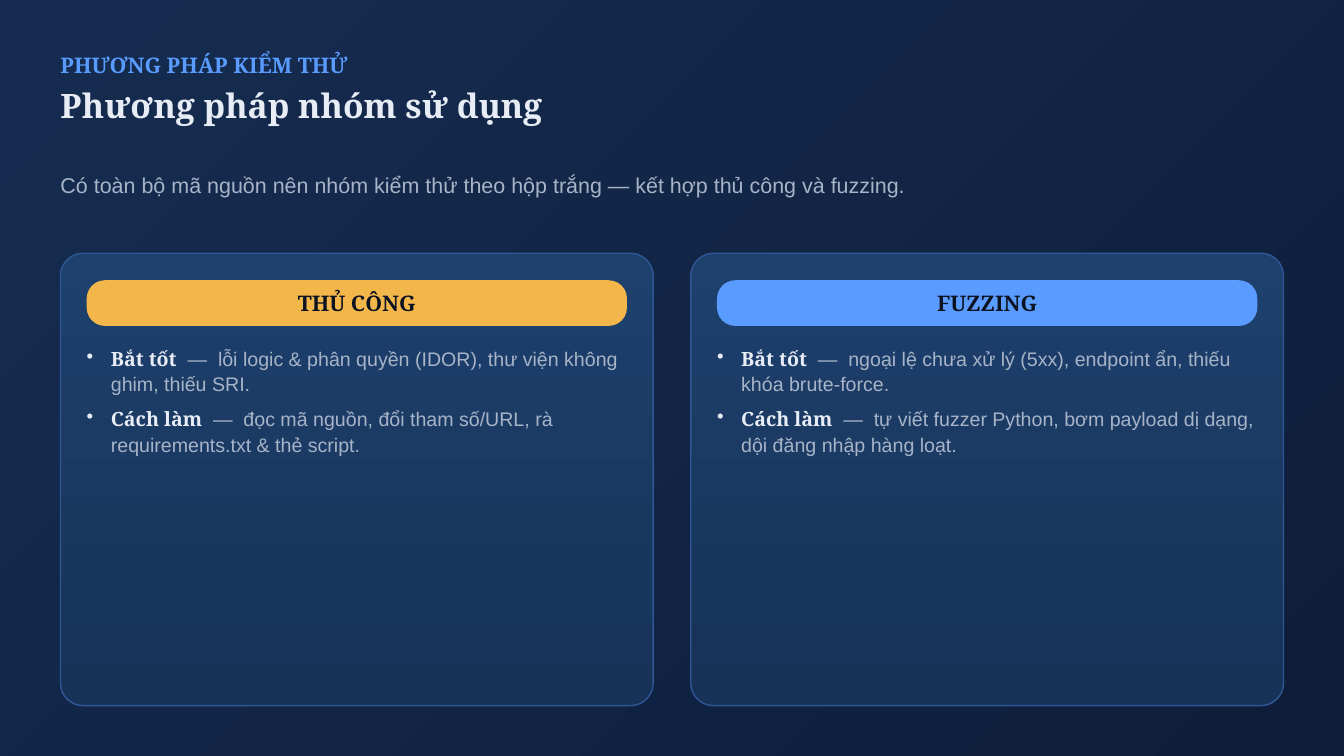
from dataclasses import dataclass

from lxml.etree import SubElement
from pptx import Presentation
from pptx.dml.color import RGBColor
from pptx.enum.shapes import MSO_SHAPE
from pptx.enum.text import MSO_ANCHOR, MSO_AUTO_SIZE, PP_ALIGN
from pptx.oxml.ns import qn
from pptx.util import Inches, Pt


@dataclass(frozen=True)
class Theme:
    serif: str = "Noto Serif"
    sans: str = "Arial"
    back: tuple = ("152C50", "0E1E3A")
    card: tuple = ("1E406D", "163257")
    edge: str = "2F5796"
    blue: str = "5A9BFF"
    gold: str = "F3B64B"
    light: str = "E8EDF5"
    muted: str = "A7B4C8"
    dark: str = "0B1220"
    head: int = 36
    label: int = 23
    body: int = 21


THEME = Theme()
LEFT, WIDE = 0.9, 18.2
GAP, PAD = 0.56, 0.39
CARD_TOP, CARD_WIDE, CARD_HIGH = 3.77, (WIDE - GAP) / 2, 6.73

CARDS = [
    ("THỦ CÔNG", THEME.gold, [
        ("Bắt tốt", "lỗi logic & phân quyền (IDOR), thư viện không ghim, thiếu SRI."),
        ("Cách làm", "đọc mã nguồn, đổi tham số/URL, rà requirements.txt & thẻ script."),
    ]),
    ("FUZZING", THEME.blue, [
        ("Bắt tốt", "ngoại lệ chưa xử lý (5xx), endpoint ẩn, thiếu khóa brute-force."),
        ("Cách làm", "tự viết fuzzer Python, bơm payload dị dạng, dội đăng nhập hàng loạt."),
    ]),
]


def style(font, size, color, face=THEME.serif, bold=True):
    font.name = face
    font.size = Pt(size)
    font.bold = bold
    font.color.rgb = RGBColor.from_string(color)


def blend(fill, colors, angle):
    fill.gradient()
    fill.gradient_angle = angle
    for stop, color in zip(fill.gradient_stops, colors):
        stop.color.rgb = RGBColor.from_string(color)


def set_frame(shape, anchor=MSO_ANCHOR.TOP):
    frame = shape.text_frame
    frame.word_wrap = True
    frame.auto_size = MSO_AUTO_SIZE.NONE
    frame.vertical_anchor = anchor
    frame.margin_left = frame.margin_right = 0
    frame.margin_top = frame.margin_bottom = 0
    return frame


def add_box(slide, left, top, width, height):
    return slide.shapes.add_textbox(*map(Inches, (left, top, width, height)))


def add_round(slide, left, top, width, height, curve):
    shape = slide.shapes.add_shape(
        MSO_SHAPE.ROUNDED_RECTANGLE, *map(Inches, (left, top, width, height)))
    shape.adjustments[0] = curve
    shape.shadow.inherit = False
    return shape


def add_title(slide, text):
    title = slide.shapes.title
    title.left, title.top = Inches(LEFT), Inches(1.29)
    title.width, title.height = Inches(WIDE), Inches(1.14)
    para = set_frame(title).paragraphs[0]
    para.text = text
    para.alignment = PP_ALIGN.LEFT
    para.line_spacing = Pt(41.4)
    style(para.font, THEME.head, THEME.light)


def add_kicker(slide, text):
    box = add_box(slide, LEFT, 0.66, WIDE, 0.61)
    para = set_frame(box, MSO_ANCHOR.MIDDLE).paragraphs[0]
    para.text = text
    style(para.font, THEME.label, THEME.blue)


def add_lead(slide, text):
    para = set_frame(add_box(slide, LEFT, 2.54, WIDE, 0.9)).paragraphs[0]
    para.text = text
    para.line_spacing = Pt(29)
    style(para.font, THEME.label, THEME.muted, THEME.sans, False)


def add_pill(slide, left, top, width, text, color):
    pill = add_round(slide, left, top, width, 0.68, 0.4)
    pill.fill.solid()
    pill.fill.fore_color.rgb = RGBColor.from_string(color)
    pill.line.fill.background()
    para = set_frame(pill, MSO_ANCHOR.MIDDLE).paragraphs[0]
    para.text = text
    para.alignment = PP_ALIGN.CENTER
    style(para.font, THEME.label, THEME.dark)


def add_bullet(para):
    props = para._p.get_or_add_pPr()
    props.set("marL", str(Inches(0.36)))
    props.set("indent", str(Inches(-0.36)))
    SubElement(props, qn("a:buChar")).set("char", "•")


def add_list(slide, left, top, width, items):
    frame = set_frame(add_box(slide, left, top, width, 4.98))
    for index, (term, note) in enumerate(items):
        para = frame.add_paragraph() if index else frame.paragraphs[0]
        add_bullet(para)
        para.line_spacing = Pt(27.3)
        if index:
            para.space_before = Pt(10)
        run = para.add_run()
        run.text = term
        style(run.font, THEME.body, THEME.light)
        run = para.add_run()
        run.text = f"  —  {note}"
        style(run.font, THEME.body, THEME.muted, THEME.sans, False)


def add_card(slide, left, label, color, items):
    card = add_round(slide, left, CARD_TOP, CARD_WIDE, CARD_HIGH, 0.05)
    blend(card.fill, THEME.card, 270)
    card.line.color.rgb = RGBColor.from_string(THEME.edge)
    card.line.width = Pt(1.5)
    inner = CARD_WIDE - 2 * PAD
    add_pill(slide, left + PAD, CARD_TOP + 0.4, inner, label, color)
    add_list(slide, left + PAD, CARD_TOP + 1.36, inner, items)


def main():
    deck = Presentation()
    deck.slide_width, deck.slide_height = Inches(20), Inches(11.25)
    slide = deck.slides.add_slide(deck.slide_layouts[5])
    blend(slide.background.fill, THEME.back, 315)
    add_kicker(slide, "PHƯƠNG PHÁP KIỂM THỬ")
    add_title(slide, "Phương pháp nhóm sử dụng")
    add_lead(slide, "Có toàn bộ mã nguồn nên nhóm kiểm thử theo hộp trắng — "
                    "kết hợp thủ công và fuzzing.")
    for index, card in enumerate(CARDS):
        add_card(slide, LEFT + index * (CARD_WIDE + GAP), *card)
    deck.save("out.pptx")


if __name__ == "__main__":
    main()
